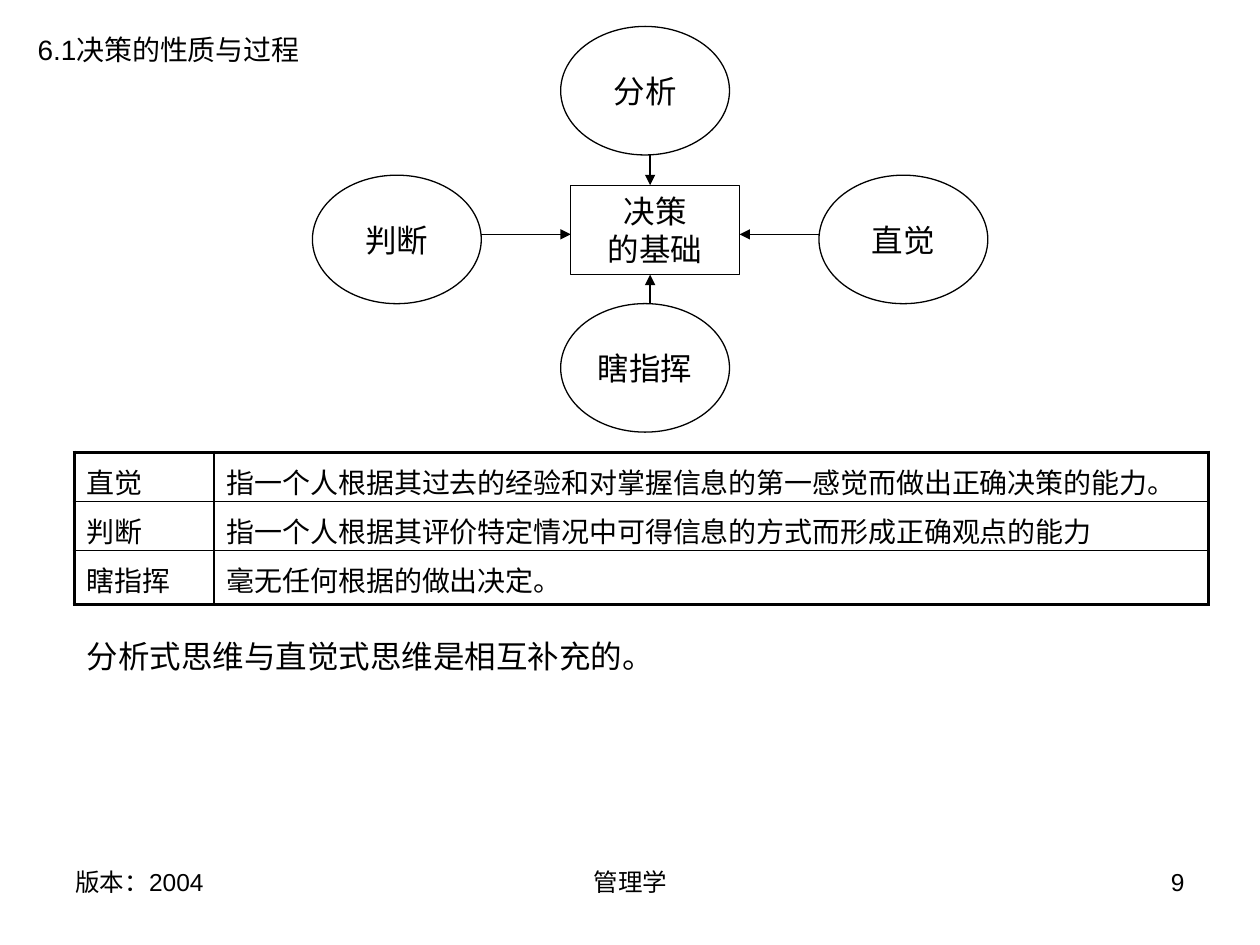
from lxml import etree
from pptx import Presentation
from pptx.dml.color import RGBColor
from pptx.enum.shapes import MSO_CONNECTOR, MSO_SHAPE
from pptx.enum.text import MSO_ANCHOR, PP_ALIGN
from pptx.oxml.ns import qn
from pptx.util import Inches, Pt

BLACK, WHITE = "000000", "FFFFFF"


def color(hex_value):
    return RGBColor.from_string(hex_value)


def write(frame, text, size, align=PP_ALIGN.LEFT):
    frame.text = text
    for paragraph in frame.paragraphs:
        paragraph.alignment = align
        paragraph.font.size = Pt(size)
        paragraph.font.name = "Arial"
        paragraph.font.color.rgb = color(BLACK)


prs = Presentation()
prs.slide_width, prs.slide_height = Inches(10), Inches(7.5)
slide = prs.slides.add_slide(prs.slide_layouts[6])

# Heading, closing remark and footer
for left, top, width, height, text, size, align in [
    (0.2, 0.21, 2.36, 0.37, "6.1决策的性质与过程", 16, PP_ALIGN.LEFT),
    (0.59, 5.01, 4.96, 0.4, "分析式思维与直觉式思维是相互补充的。", 18, PP_ALIGN.LEFT),
    (0.5, 6.83, 2.33, 0.52, "版本：2004", 14, PP_ALIGN.LEFT),
    (3.42, 6.83, 3.17, 0.52, "管理学", 14, PP_ALIGN.CENTER),
    (7.17, 6.83, 2.33, 0.52, "9", 14, PP_ALIGN.RIGHT),
]:
    box = slide.shapes.add_textbox(Inches(left), Inches(top), Inches(width), Inches(height))
    box.text_frame.word_wrap = True
    write(box.text_frame, text, size, align)

# Four sources around the basis of decisions
for kind, left, top, height, text in [
    (MSO_SHAPE.OVAL, 4.45, 2.41, 1.02, "瞎指挥"),
    (MSO_SHAPE.OVAL, 6.5, 1.39, 1.02, "直觉"),
    (MSO_SHAPE.OVAL, 2.48, 1.39, 1.02, "判断"),
    (MSO_SHAPE.OVAL, 4.45, 0.21, 1.02, "分析"),
    (MSO_SHAPE.RECTANGLE, 4.53, 1.47, 0.71, "决策\n的基础"),
]:
    node = slide.shapes.add_shape(kind, Inches(left), Inches(top), Inches(1.34), Inches(height))
    node.shadow.inherit = False
    node.fill.solid()
    node.fill.fore_color.rgb = color(WHITE)
    node.line.color.rgb = color(BLACK)
    node.line.width = Pt(0.75)
    node.text_frame.word_wrap = False
    node.text_frame.vertical_anchor = MSO_ANCHOR.MIDDLE
    write(node.text_frame, text, 18, PP_ALIGN.CENTER)

# Arrows pointing at the basis
for x1, y1, x2, y2 in [
    (3.82, 1.86, 4.53, 1.86),
    (6.5, 1.86, 5.87, 1.86),
    (5.16, 1.23, 5.16, 1.47),
    (5.16, 2.41, 5.16, 2.18),
]:
    arrow = slide.shapes.add_connector(
        MSO_CONNECTOR.STRAIGHT, Inches(x1), Inches(y1), Inches(x2), Inches(y2))
    arrow.line.color.rgb = color(BLACK)
    arrow.line.width = Pt(0.75)
    etree.SubElement(arrow.line._get_or_add_ln(), qn("a:tailEnd"), type="triangle")
    etree.SubElement(arrow._element.spPr, qn("a:effectLst"))

# Table of definitions
definitions = [
    ("直觉", "指一个人根据其过去的经验和对掌握信息的第一感觉而做出正确决策的能力。"),
    ("判断", "指一个人根据其评价特定情况中可得信息的方式而形成正确观点的能力"),
    ("瞎指挥", "毫无任何根据的做出决定。"),
]
table = slide.shapes.add_table(
    3, 2, Inches(0.59), Inches(3.59), Inches(9), Inches(1.21)).table
table.first_row = table.horz_banding = False
for column, width in zip(table.columns, (1.11, 7.89)):
    column.width = Inches(width)
for row, height in zip(table.rows, (0.39, 0.39, 0.43)):
    row.height = Inches(height)

for r, definition in enumerate(definitions):
    for c, text in enumerate(definition):
        cell = table.cell(r, c)
        cell.margin_top, cell.margin_bottom = Inches(0.07), Inches(0.02)
        write(cell.text_frame, text, 16)
        # Thick border outside, thin inside
        outer_edges = {"lnL": c == 0, "lnR": c == 1, "lnT": r == 0, "lnB": r == 2}
        properties = cell._tc.get_or_add_tcPr()
        for edge, is_outer in outer_edges.items():
            border = etree.SubElement(
                properties, qn(f"a:{edge}"), w=str(Pt(2.25 if is_outer else 1)))
            fill = etree.SubElement(border, qn("a:solidFill"))
            etree.SubElement(fill, qn("a:srgbClr"), val=BLACK)
        cell.fill.background()

prs.save("out.pptx")
